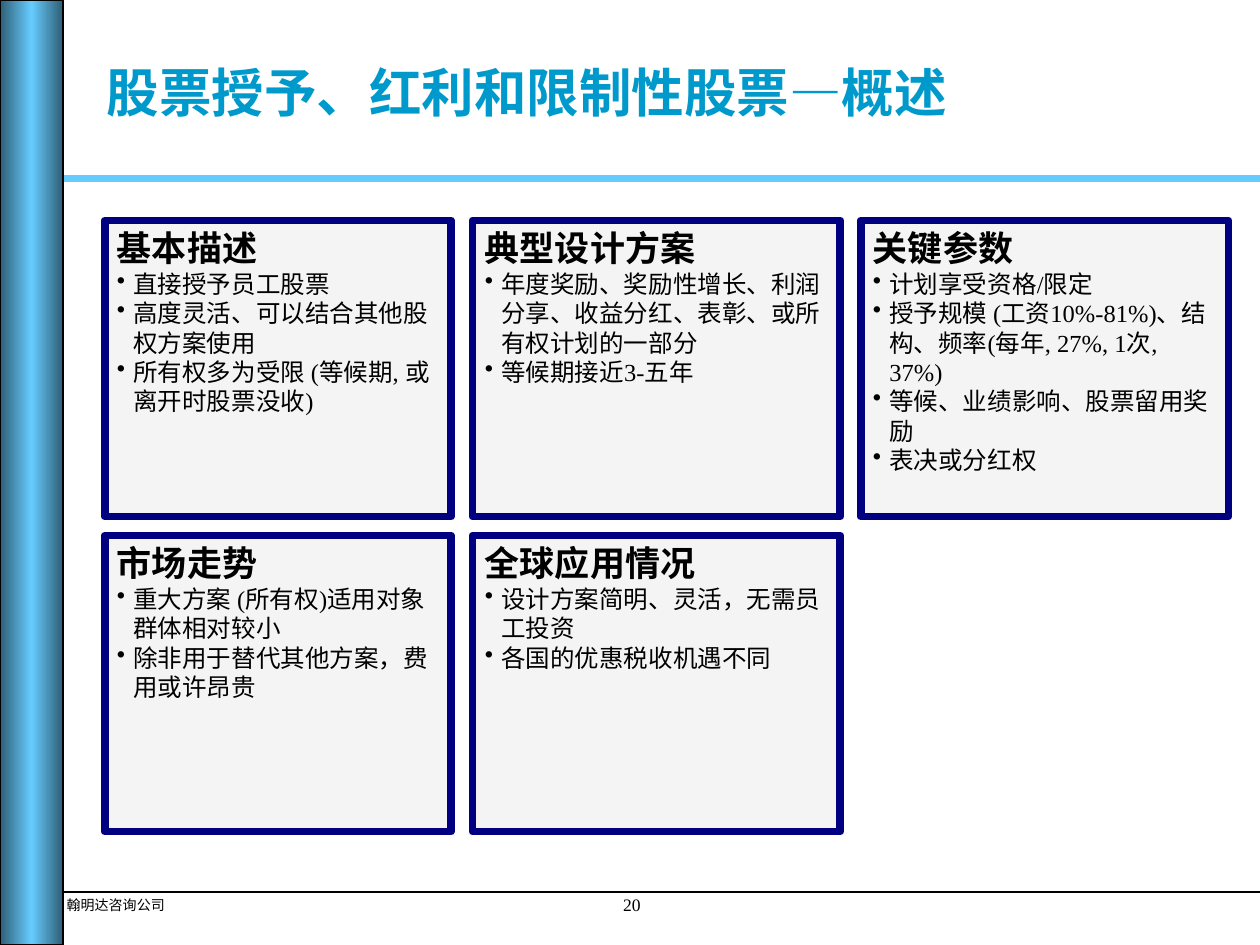
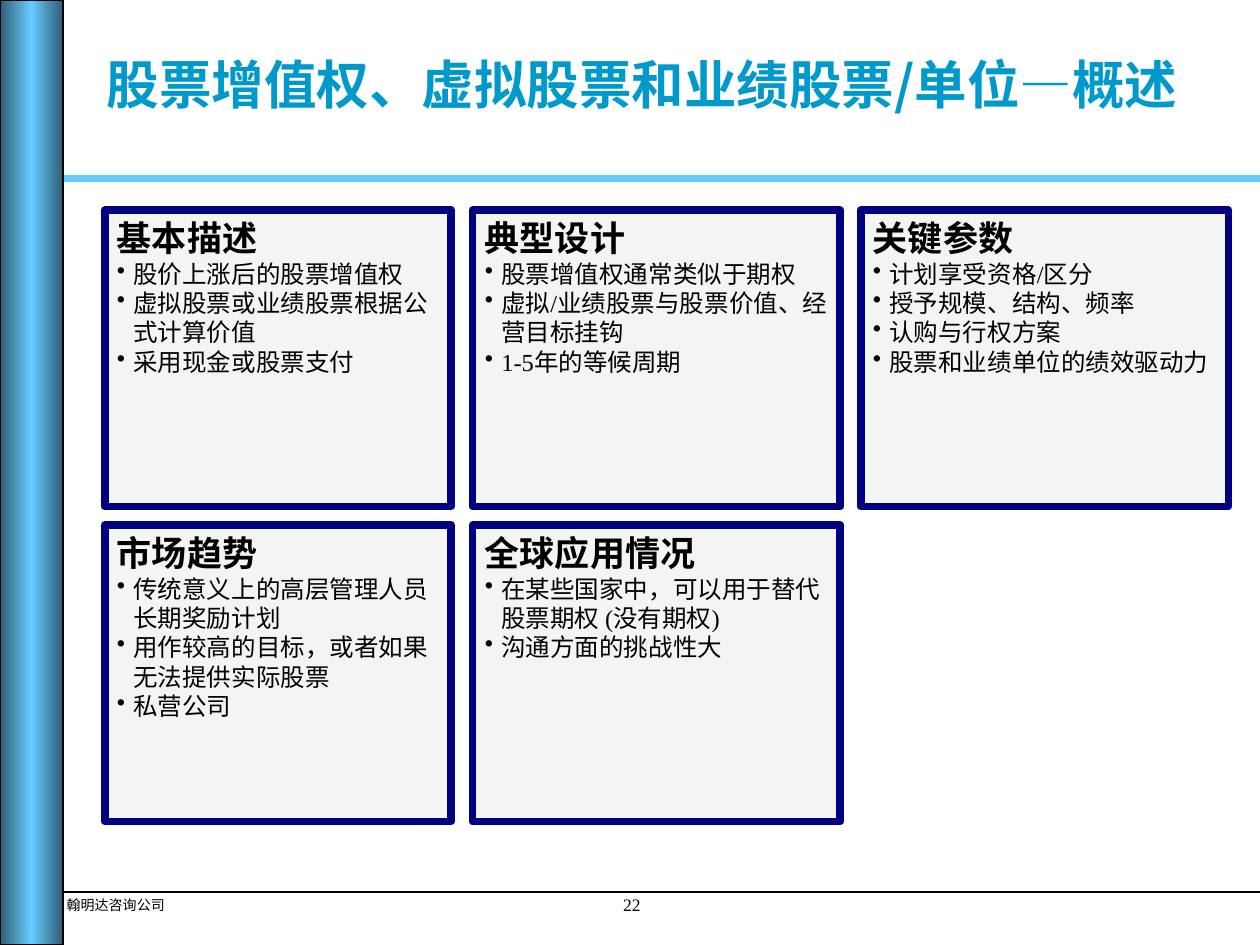
from copy import deepcopy

from lxml.etree import SubElement
from pptx import Presentation
from pptx.dml.color import RGBColor
from pptx.enum.shapes import MSO_CONNECTOR, MSO_SHAPE
from pptx.enum.text import MSO_ANCHOR, PP_ALIGN
from pptx.oxml.ns import qn
from pptx.util import Inches, Pt

SKY = RGBColor(0x66, 0xCC, 0xFF)
DEEP_TEAL = RGBColor(0x2F, 0x5E, 0x75)
TITLE_BLUE = RGBColor(0x00, 0x99, 0xCC)
NAVY = RGBColor(0x00, 0x00, 0x80)
PANEL_GRAY = RGBColor(0xEA, 0xEA, 0xEA)
BLACK = RGBColor(0x00, 0x00, 0x00)

SERIF = "Times New Roman"
SANS = "Noto Sans CJK SC"
COMPANY = "翰明达咨询公司"

COLUMNS = [(0.83, 2.75), (3.75, 2.92), (6.83, 2.92)]  # left, width
PANEL_HEIGHT = 2.35
ROW_STEP = 2.5
INDENT = Inches(0.13)

# Panels run left to right, then down
SLIDES = [
    {
        "title": "股票授予、红利和限制性股票—概述",
        "title_font": SERIF,
        "title_top": 0.13,
        "title_height": 1.25,
        "number": "20",
        "panels_top": 1.75,
        "panels": [
            ("基本描述", ["直接授予员工股票",
                      "高度灵活、可以结合其他股权方案使用",
                      "所有权多为受限 (等候期, 或离开时股票没收)"]),
            ("典型设计方案", ["年度奖励、奖励性增长、利润分享、收益分红、表彰、或所有权计划的一部分",
                        "等候期接近3-五年"]),
            ("关键参数", ["计划享受资格/限定",
                      "授予规模 (工资10%-81%)、结构、频率(每年, 27%, 1次, 37%)",
                      "等候、业绩影响、股票留用奖励",
                      "表决或分红权"]),
            ("市场走势", ["重大方案 (所有权)适用对象群体相对较小",
                      "除非用于替代其他方案，费用或许昂贵"]),
            ("全球应用情况", ["设计方案简明、灵活，无需员工投资",
                        "各国的优惠税收机遇不同"]),
        ],
    },
    {
        "title": "股票增值权、虚拟股票和业绩股票/单位—概述",
        "title_font": SANS,
        "title_top": 0.17,
        "title_height": 1.04,
        "number": "22",
        "panels_top": 1.67,
        "panels": [
            ("基本描述", ["股价上涨后的股票增值权",
                      "虚拟股票或业绩股票根据公式计算价值",
                      "采用现金或股票支付"]),
            ("典型设计", ["股票增值权通常类似于期权",
                      "虚拟/业绩股票与股票价值、经营目标挂钩",
                      "1-5年的等候周期"]),
            ("关键参数", ["计划享受资格/区分",
                      "授予规模、结构、频率",
                      "认购与行权方案",
                      "股票和业绩单位的绩效驱动力"]),
            ("市场趋势", ["传统意义上的高层管理人员长期奖励计划",
                      "用作较高的目标，或者如果无法提供实际股票",
                      "私营公司"]),
            ("全球应用情况", ["在某些国家中，可以用于替代股票期权 (没有期权)",
                        "沟通方面的挑战性大"]),
        ],
    },
]


def write(paragraph, text, size, color=BLACK, bold=False, font=SERIF):
    paragraph.text = text
    paragraph.font.size = Pt(size)
    paragraph.font.color.rgb = color
    paragraph.font.bold = bold
    paragraph.font.name = font


def add_label(slide, left, top, width, height):
    """Add an empty text box and return its text frame."""
    box = slide.shapes.add_textbox(Inches(left), Inches(top), Inches(width), Inches(height))
    return box.text_frame


prs = Presentation()
prs.slide_width = Inches(10)
prs.slide_height = Inches(7.5)

for content in SLIDES:
    slide = prs.slides.add_slide(prs.slide_layouts[6])

    # Rules under the title and above the footer
    for y, color, weight in [(1.42, SKY, 4), (7.08, BLACK, 1)]:
        rule = slide.shapes.add_connector(
            MSO_CONNECTOR.STRAIGHT, Inches(0.5), Inches(y), Inches(10), Inches(y))
        rule.line.color.rgb = color
        rule.line.width = Pt(weight)
        SubElement(rule._element.spPr, qn("a:effectLst"))

    # Side band, dark at both edges and light in the middle
    band = slide.shapes.add_shape(MSO_SHAPE.RECTANGLE, 0, 0, Inches(0.5), Inches(7.5))
    band.shadow.inherit = False
    band.line.color.rgb = BLACK
    band.line.width = Pt(1)
    band.fill.gradient()
    band.fill.gradient_angle = 0
    edge, middle = band.fill.gradient_stops
    edge.color.rgb, edge.position = DEEP_TEAL, 0
    middle.color.rgb, middle.position = SKY, 0.5
    stop_list = band._element.spPr.find(qn("a:gradFill")).find(qn("a:gsLst"))
    stop_list.append(deepcopy(stop_list[0]))
    band.fill.gradient_stops[2].position = 1

    # Footer
    company = add_label(slide, 0.43, 7.07, 0.88, 0.23)
    company.margin_right = 0
    company.word_wrap = False
    write(company.paragraphs[0], COMPANY, 8)
    number = add_label(slide, 4.63, 7.05, 0.77, 0.26)
    number.word_wrap = False
    number.paragraphs[0].alignment = PP_ALIGN.CENTER
    write(number.paragraphs[0], content["number"], 10)

    # Title
    title = add_label(slide, 0.75, content["title_top"], 9.08, content["title_height"])
    title.word_wrap = True
    title.vertical_anchor = MSO_ANCHOR.MIDDLE
    title.paragraphs[0].line_spacing = Pt(32)
    write(title.paragraphs[0], content["title"], 30, TITLE_BLUE, True, content["title_font"])

    # Panels
    for index, (heading, points) in enumerate(content["panels"]):
        row, column = divmod(index, len(COLUMNS))
        left, width = COLUMNS[column]
        top = content["panels_top"] + row * ROW_STEP
        panel = slide.shapes.add_shape(
            MSO_SHAPE.RECTANGLE, Inches(left), Inches(top), Inches(width), Inches(PANEL_HEIGHT))
        panel.shadow.inherit = False
        panel.line.color.rgb = NAVY
        panel.line.width = Pt(4.5)
        panel.fill.solid()
        panel.fill.fore_color.rgb = PANEL_GRAY
        fill_color = panel._element.spPr.find(qn("a:solidFill"))[0]
        SubElement(fill_color, qn("a:alpha"), val="50000")

        frame = panel.text_frame
        frame.word_wrap = True
        frame.vertical_anchor = MSO_ANCHOR.TOP
        for line_index, text in enumerate([heading, *points]):
            is_heading = line_index == 0
            paragraph = frame.paragraphs[0] if is_heading else frame.add_paragraph()
            paragraph.alignment = PP_ALIGN.LEFT
            properties = paragraph._p.get_or_add_pPr()
            properties.set("marL", str(INDENT))
            properties.set("indent", str(-INDENT))
            if not is_heading:
                SubElement(properties, qn("a:buChar"), char="•")
            write(paragraph, text, 20 if is_heading else 14, bold=is_heading)

prs.save("out.pptx")
